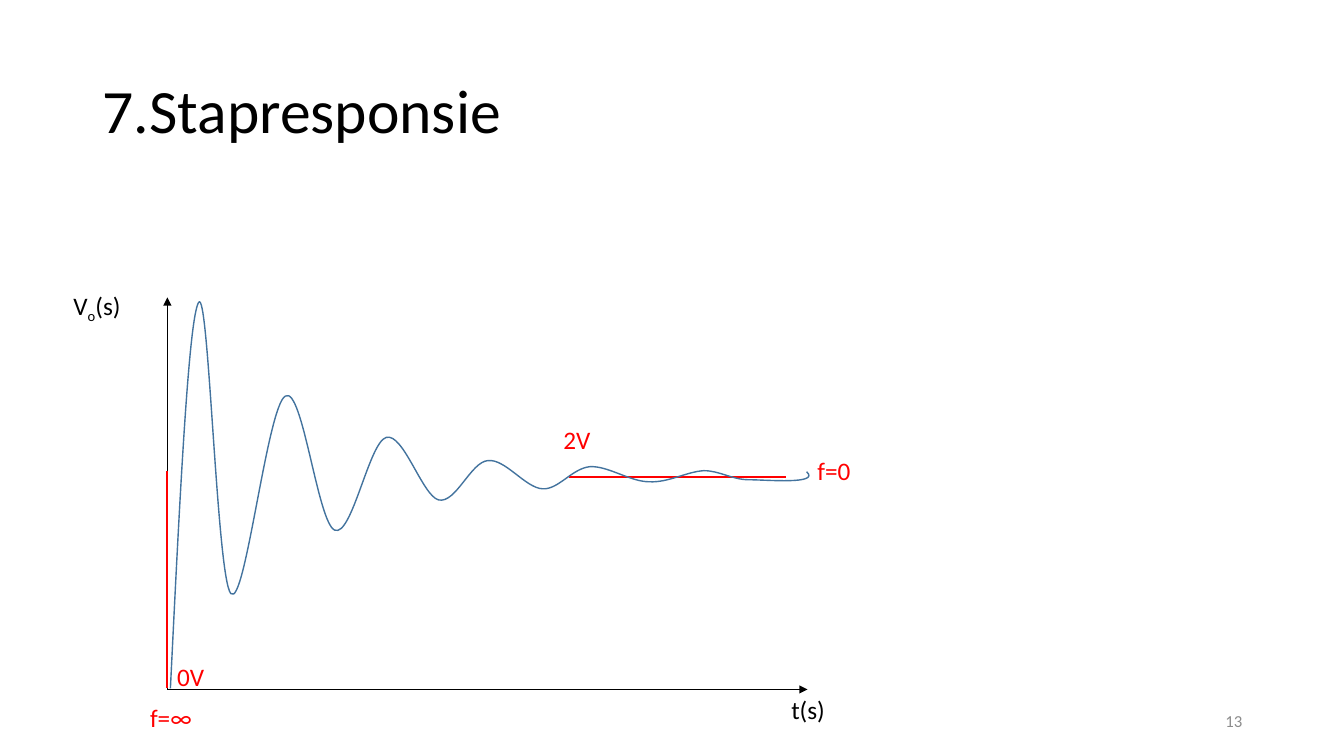
from dataclasses import dataclass
from typing import Any

from lxml.etree import SubElement
from pptx import Presentation
from pptx.dml.color import RGBColor
from pptx.enum.shapes import MSO_CONNECTOR as Connector
from pptx.enum.text import MSO_ANCHOR as Anchor, MSO_AUTO_SIZE as AutoSize, PP_ALIGN as Align
from pptx.oxml.ns import qn
from pptx.util import Inches, Pt

BLACK, RED, BLUE, GREY = "000000", "FF0000", "43739E", "8C8C8C"

Point = tuple[float, float]


@dataclass
class Label:
    left: float
    top: float
    width: float
    text: str
    color: str = RED
    subscript: str = ""
    rest: str = ""
    height: float = 0.4
    size: float = 18
    anchor: Any = Anchor.TOP
    align: Any = Align.LEFT
    spacing: float = 1.0
    fit: Any = AutoSize.SHAPE_TO_FIT_TEXT


@dataclass
class Line:
    start: Point
    end: Point
    color: str
    weight: float
    arrow: bool = False


LABELS = [
    Label(0.92, 0.4, 11.5, "7.Stapresponsie", BLACK, height=1.45, size=44,
          anchor=Anchor.MIDDLE, spacing=0.9, fit=AutoSize.NONE),
    Label(0.63, 2.83, 0.76, "V", BLACK, subscript="o", rest="(s)"),
    Label(7.75, 6.84, 0.86, "t(s)", BLACK),
    Label(1.66, 6.51, 0.76, "0V"),
    Label(5.49, 4.16, 0.76, "2V"),
    Label(1.39, 6.92, 0.76, "f=∞"),
    Label(8.01, 4.47, 0.76, "f=0"),
    Label(9.42, 6.95, 3, "13", GREY, size=12, anchor=Anchor.MIDDLE,
          align=Align.RIGHT, fit=AutoSize.NONE),
]

ORIGIN = (1.66, 6.84)
LINES = [
    Line(ORIGIN, (8.01, 6.84), BLACK, 0.5, arrow=True),
    Line(ORIGIN, (1.66, 2.95), BLACK, 0.5, arrow=True),
    Line((1.66, 4.67), (1.66, 6.83), RED, 1.5),
    Line((5.64, 4.73), (7.8, 4.73), RED, 1.5),
]

# Damped oscillation: each section has two control points and an end point
RESPONSE_START = (1.69, 6.83)
RESPONSE = [
    ((1.78, 4.99), (1.87, 3.16), (1.97, 3)),
    ((2.07, 2.84), (2.15, 5.73), (2.29, 5.89)),
    ((2.43, 6.04), (2.65, 4.03), (2.83, 3.93)),
    ((3, 3.82), (3.15, 5.19), (3.32, 5.26)),
    ((3.49, 5.33), (3.66, 4.39), (3.83, 4.34)),
    ((4, 4.29), (4.19, 4.92), (4.35, 4.96)),
    ((4.52, 5), (4.67, 4.58), (4.84, 4.57)),
    ((5.01, 4.55), (5.21, 4.84), (5.38, 4.85)),
    ((5.54, 4.86), (5.67, 4.65), (5.85, 4.63)),
    ((6.03, 4.62), (6.25, 4.78), (6.44, 4.78)),
    ((6.63, 4.79), (6.81, 4.68), (6.98, 4.67)),
    ((7.14, 4.67), (7.26, 4.76), (7.43, 4.76)),
    ((7.6, 4.76), (8.14, 4.81), (8, 4.68)),
]


def rgb(color: str) -> RGBColor:
    return RGBColor.from_string(color)


def apply(target: Any, values: dict[str, Any]) -> None:
    for name, value in values.items():
        setattr(target, name, value)


def draw_label(page: Any, label: Label) -> None:
    box = page.shapes.add_textbox(*map(Inches, (label.left, label.top, label.width, label.height)))
    apply(box.text_frame, {"word_wrap": True, "auto_size": label.fit,
                           "vertical_anchor": label.anchor})
    para = box.text_frame.paragraphs[0]
    apply(para, {"alignment": label.align, "line_spacing": label.spacing})
    for text in filter(None, (label.text, label.subscript, label.rest)):
        span = para.add_run()
        span.text = text
        apply(span.font, {"name": "Calibri", "size": Pt(label.size)})
        span.font.color.rgb = rgb(label.color)
        if text == label.subscript:
            span.font._element.set("baseline", "-25000")


def draw_line(page: Any, line: Line) -> None:
    connector = page.shapes.add_connector(Connector.STRAIGHT, *map(Inches, line.start + line.end))
    connector.line.color.rgb = rgb(line.color)
    connector.line.width = Pt(line.weight)
    if line.arrow:
        SubElement(connector.line._get_or_add_ln(), qn("a:tailEnd"), type="triangle")
    SubElement(connector._element.spPr, qn("a:effectLst"))


def draw_response(page: Any) -> None:
    builder = page.shapes.build_freeform(*map(Inches, RESPONSE_START))
    ends = [section[-1] for section in RESPONSE]
    builder.add_line_segments([(Inches(x), Inches(y)) for x, y in ends], close=False)
    response = builder.convert_to_shape()
    response.shadow.inherit = False
    response.fill.background()
    response.line.color.rgb = rgb(BLUE)
    response.line.width = Pt(1)

    # Bend each straight segment into a cubic curve, in the shape's own coordinates
    for segment, section in zip(list(response._element.iter(qn("a:lnTo"))), RESPONSE):
        outline = segment.getparent()
        curve = outline.makeelement(qn("a:cubicBezTo"))
        for x, y in section:
            SubElement(curve, qn("a:pt"), x=str(Inches(x) - response.left),
                       y=str(Inches(y) - response.top))
        outline.replace(segment, curve)


def main() -> None:
    deck = Presentation()
    apply(deck, {"slide_width": Inches(13.33), "slide_height": Inches(7.5)})
    page = deck.slides.add_slide(deck.slide_layouts[6])

    # Axes and reference levels, then the curve, then all text
    for line in LINES:
        draw_line(page, line)
    draw_response(page)
    for label in LABELS:
        draw_label(page, label)

    deck.save("out.pptx")


if __name__ == "__main__":
    main()
